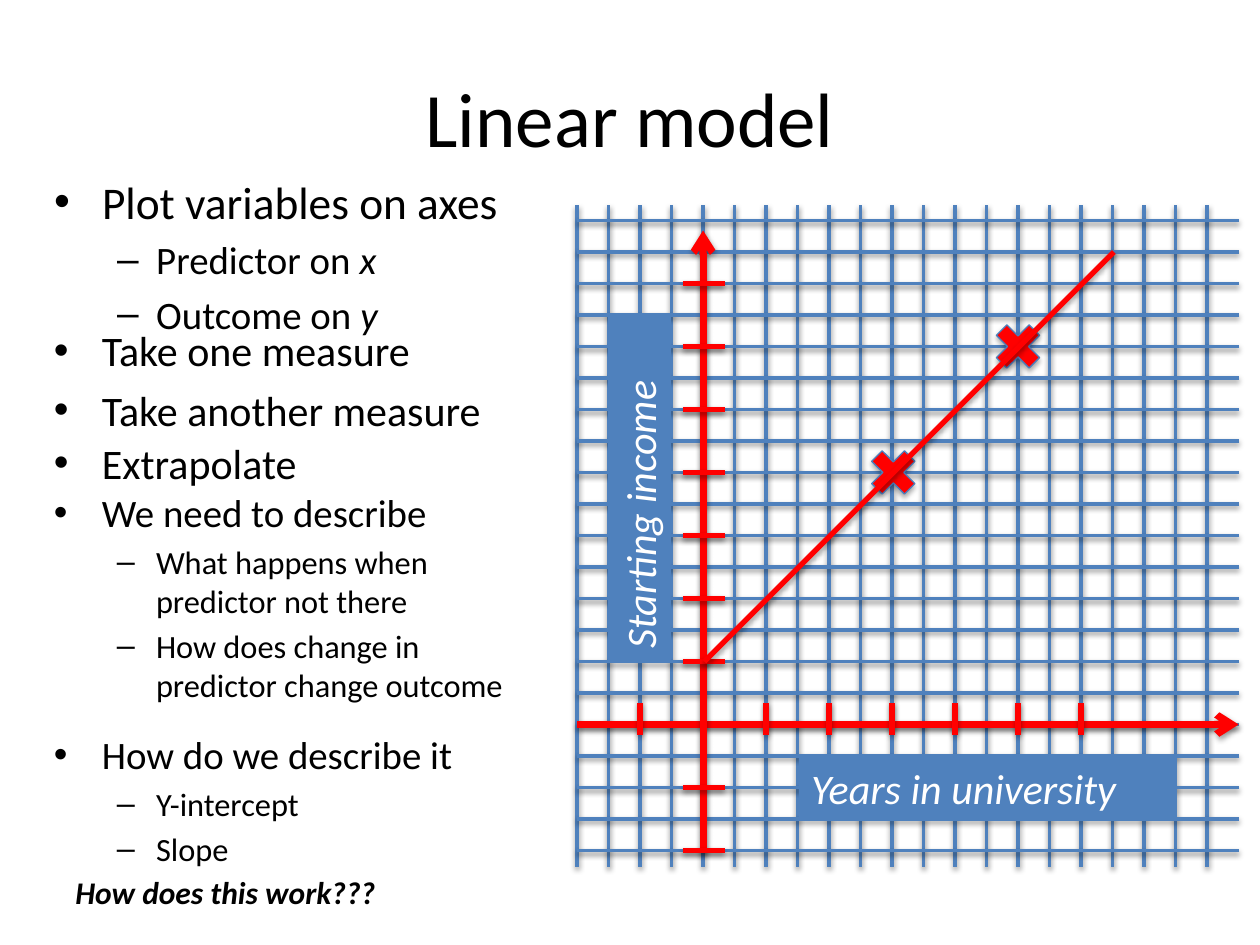
from dataclasses import dataclass

from lxml import etree
from pptx import Presentation
from pptx.dml.color import RGBColor
from pptx.enum.shapes import MSO_CONNECTOR, MSO_SHAPE
from pptx.enum.text import MSO_ANCHOR, MSO_AUTO_SIZE, PP_ALIGN
from pptx.oxml.ns import qn
from pptx.util import Inches, Pt

STRAIGHT = MSO_CONNECTOR.STRAIGHT
RECTANGLE = MSO_SHAPE.RECTANGLE
CROSS = MSO_SHAPE.MATH_MULTIPLY
TOP, MIDDLE = MSO_ANCHOR.TOP, MSO_ANCHOR.MIDDLE
LEFT, CENTER = PP_ALIGN.LEFT, PP_ALIGN.CENTER
NO_FIT = MSO_AUTO_SIZE.NONE

FONT = "Calibri"
BLUE, RED, BLACK, WHITE, MARK_EDGE = "4F81BD", "FF0000", "000000", "FFFFFF", "4B7EBC"

CELL = 0.25
GRID_LEFT, GRID_TOP, GRID_SIZE = 4.58, 1.63, 5.25
GRID_RIGHT, GRID_BOTTOM = GRID_LEFT + GRID_SIZE, GRID_TOP + GRID_SIZE
GRID_LINES = 21
FIRST_ROW, LAST_ROW = 1.75, 6.75
ORIGIN_X, ORIGIN_Y = 5.58, 5.75
TICK_STEP = 0.5


@dataclass(frozen=True)
class Bullet:
    text: str
    size: float
    level: int = 0
    variable: str = ""


@dataclass(frozen=True)
class BulletBox:
    top: float
    height: float
    bullets: tuple[Bullet, ...]


@dataclass(frozen=True)
class AxisLabel:
    text: str
    left: float
    top: float
    width: float
    rotation: float = 0


BULLET_BOXES = (
    BulletBox(1.33, 1.37, (
        Bullet("Plot variables on axes", 25.9),
        Bullet("Predictor on ", 22.2, 1, "x"),
        Bullet("Outcome on ", 22.2, 1, "y"),
    )),
    BulletBox(2.53, 0.47, (Bullet("Take one measure", 24),)),
    BulletBox(3, 0.7, (Bullet("Take another measure", 24),)),
    BulletBox(3.42, 0.7, (Bullet("Extrapolate", 24),)),
    BulletBox(3.83, 2, (
        Bullet("We need to describe", 22.2),
        Bullet("What happens when predictor not there", 18.5, 1),
        Bullet("How does change in predictor change outcome", 18.5, 1),
    )),
    BulletBox(5.75, 1.2, (
        Bullet("How do we describe it", 22.2),
        Bullet("Y-intercept", 18.5, 1),
        Bullet("Slope", 18.5, 1),
    )),
)
AXIS_LABELS = (
    AxisLabel("Years in university", 6.34, 6, 3),
    AxisLabel("Starting income", 3.7, 3.62, 2.75, 270),
)
MEASURES = ((6.84, 3.5), (7.83, 2.5))
BULLET_STYLES = (("•", 0.38, -0.38), ("–", 0.81, -0.31))


def color(value: str) -> RGBColor:
    return RGBColor.from_string(value)


def add_span(para, text: str, *, size: float, fill: str = BLACK,
             bold: bool = False, italic: bool = False) -> None:
    span = para.add_run()
    span.text = text
    span.font.name = FONT
    span.font.size = Pt(size)
    span.font.bold = bold
    span.font.italic = italic
    span.font.color.rgb = color(fill)


def place(box, left: float, top: float, width: float, height: float) -> None:
    box.left, box.top = Inches(left), Inches(top)
    box.width, box.height = Inches(width), Inches(height)


def add_shadow(shape, distance: float, opacity: int) -> None:
    effects = etree.SubElement(shape._element.spPr, qn("a:effectLst"))
    shadow = etree.SubElement(effects, qn("a:outerShdw"), blurRad=str(Pt(3.1)),
                              dist=str(Pt(distance)), dir="5400000", rotWithShape="0")
    tint = etree.SubElement(shadow, qn("a:srgbClr"), val=BLACK)
    etree.SubElement(tint, qn("a:alpha"), val=str(opacity * 1000))


def add_line(page, start: tuple[float, float], end: tuple[float, float], *,
             stroke: str = RED, width: float = 3, arrow: bool = False) -> None:
    line = page.shapes.add_connector(STRAIGHT, *map(Inches, (*start, *end)))
    line.line.color.rgb = color(stroke)
    line.line.width = Pt(width)
    if arrow:
        etree.SubElement(line.line._get_or_add_ln(), qn("a:tailEnd"), type="arrow")
    add_shadow(line, 1.6, 38)


def add_grid(page) -> None:
    for index in range(GRID_LINES):
        x = GRID_LEFT + index * CELL
        add_line(page, (x, GRID_TOP), (x, GRID_BOTTOM), stroke=BLUE, width=2)
    for index in range(GRID_LINES):
        y = LAST_ROW - index * CELL
        add_line(page, (GRID_LEFT, y), (GRID_RIGHT, y), stroke=BLUE, width=2)


def add_axes(page) -> None:
    add_line(page, (GRID_LEFT, ORIGIN_Y), (GRID_RIGHT, ORIGIN_Y), width=4, arrow=True)
    add_line(page, (ORIGIN_X, LAST_ROW), (ORIGIN_X, 1.83), width=4, arrow=True)
    for step in (-1, *range(1, 7)):
        x = ORIGIN_X + step * TICK_STEP
        add_line(page, (x, 5.83), (x, 5.58))
    for step in (-2, -1, *range(1, 8)):
        y = ORIGIN_Y - step * TICK_STEP
        add_line(page, (5.42, y), (5.75, y))


def add_axis_label(page, label: AxisLabel) -> None:
    box = page.shapes.add_shape(RECTANGLE, *map(Inches, (label.left, label.top, label.width, 0.5)))
    box.rotation = label.rotation
    box.shadow.inherit = False
    box.fill.solid()
    box.fill.fore_color.rgb = color(BLUE)
    box.line.fill.background()
    box.text_frame.vertical_anchor = TOP
    para = box.text_frame.paragraphs[0]
    para.alignment = LEFT
    add_span(para, label.text, size=24, fill=WHITE, italic=True)


def add_measure(page, left: float, top: float) -> None:
    mark = page.shapes.add_shape(CROSS, *map(Inches, (left, top, 0.5, 0.5)))
    mark.fill.solid()
    mark.fill.fore_color.rgb = color(RED)
    mark.line.color.rgb = color(MARK_EDGE)
    mark.line.width = Pt(0.75)
    add_shadow(mark, 1.8, 35)


def write_bullets(box, bullets: tuple[Bullet, ...]) -> None:
    frame = box.text_frame
    frame.word_wrap = True
    frame.auto_size = NO_FIT
    frame.vertical_anchor = TOP
    for index, bullet in enumerate(bullets):
        para = frame.add_paragraph() if index else frame.paragraphs[0]
        para.level = bullet.level
        symbol, margin, indent = BULLET_STYLES[bullet.level]
        properties = para._p.get_or_add_pPr()
        properties.set("marL", str(Inches(margin)))
        properties.set("indent", str(Inches(indent)))
        etree.SubElement(properties, qn("a:buFont"), typeface="Arial")
        etree.SubElement(properties, qn("a:buChar"), char=symbol)
        para.space_before = Pt(round(bullet.size * 0.2, 1) if index else 0)
        add_span(para, bullet.text, size=bullet.size)
        if bullet.variable:
            add_span(para, bullet.variable, size=bullet.size, italic=True)


def add_text_box(page, left: float, top: float, width: float, height: float):
    box = page.shapes.add_textbox(*map(Inches, (left, top, width, height)))
    box.text_frame.word_wrap = True
    return box


def main() -> None:
    deck = Presentation()
    deck.slide_width, deck.slide_height = Inches(10), Inches(7.5)
    page = deck.slides.add_slide(deck.slide_layouts[1])

    title = page.shapes.title
    place(title, 0.5, 0.3, 9, 1.25)
    title.text_frame.vertical_anchor = MIDDLE
    heading = title.text_frame.paragraphs[0]
    heading.alignment = CENTER
    add_span(heading, "Linear model", size=44)

    add_grid(page)
    add_axes(page)
    for label in AXIS_LABELS:
        add_axis_label(page, label)
    for left, top in MEASURES:
        add_measure(page, left, top)
    add_line(page, (5.59, 5.25), (8.84, 2))

    for index, item in enumerate(BULLET_BOXES):
        area = (0.33, item.top, 3.92, item.height)
        box = add_text_box(page, *area) if index else page.placeholders[1]
        place(box, *area)
        write_bullets(box, item.bullets)

    question = add_text_box(page, 0.5, 6.88, 3.75, 0.4)
    add_span(question.text_frame.paragraphs[0], "How does this work???",
             size=18, bold=True, italic=True)
    deck.save("out.pptx")


if __name__ == "__main__":
    main()
